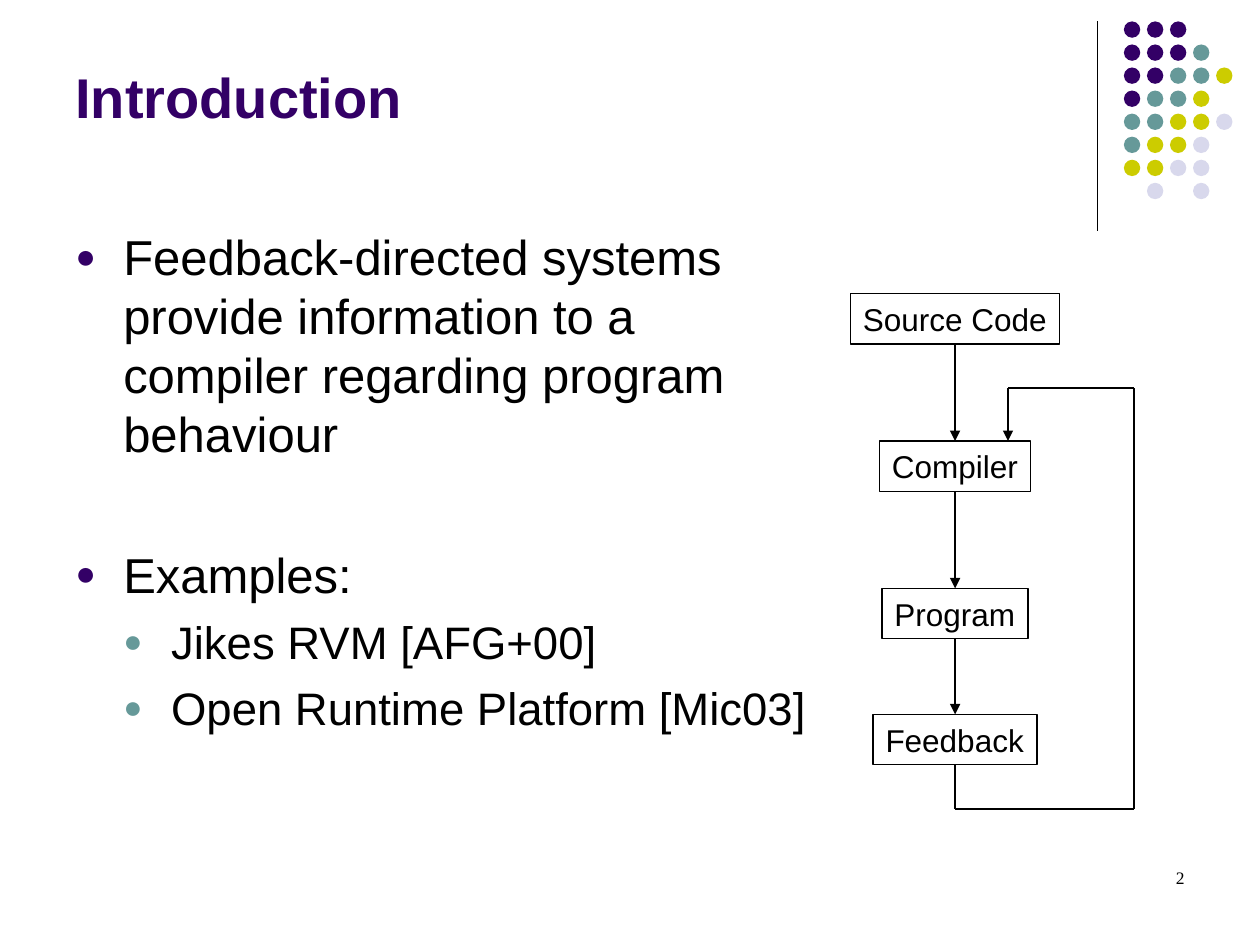
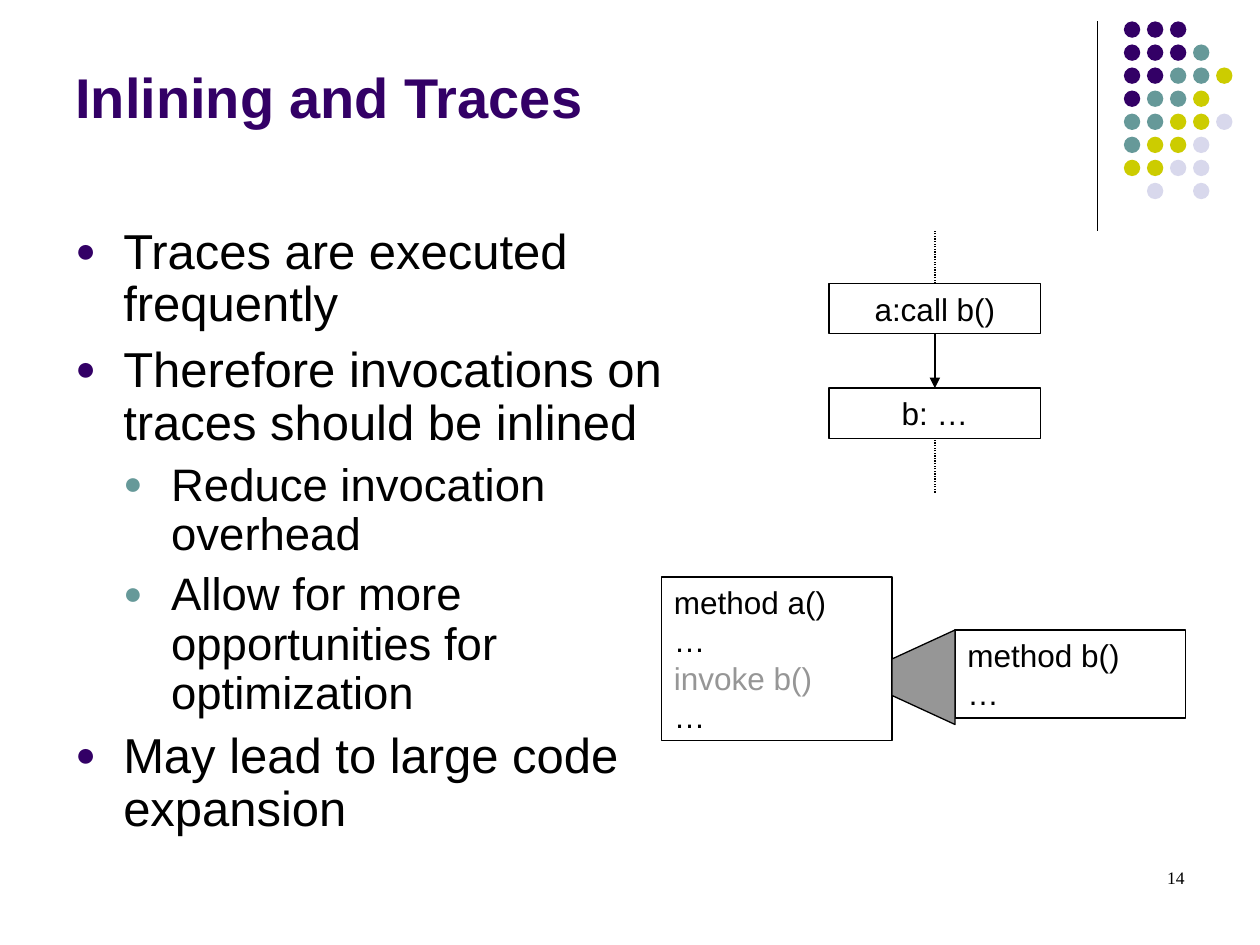
from dataclasses import dataclass
from itertools import pairwise

from lxml.etree import SubElement
from pptx import Presentation
from pptx.dml.color import RGBColor
from pptx.enum.dml import MSO_LINE
from pptx.enum.shapes import MSO_CONNECTOR as Connectors, MSO_SHAPE as Shapes
from pptx.enum.text import MSO_ANCHOR as Anchor, PP_ALIGN as Align
from pptx.oxml.ns import qn
from pptx.shapes.autoshape import Shape
from pptx.shapes.connector import Connector
from pptx.slide import Slide
from pptx.util import Inches, Pt

PURPLE, TEAL, YELLOW, LILAC = "330066", "669999", "CCCC00", "D8D8EC"
BLACK, GREY = "000000", "969696"
BODY_FONT, NUMBER_FONT = "Arial", "Times New Roman"
LINE_WIDTH = Pt(0.75)
TOP, BOTTOM = 0, 2

# Corner ornament: one letter per dot, a space for none
DOT_ROWS = ("PPP", "PPPT", "PPTTY", "PTTY", "TTYYL", "TYYL", "YYLL", " L L")
DOT_COLOURS = {"P": PURPLE, "T": TEAL, "Y": YELLOW, "L": LILAC}
DOT_LEFT, DOT_TOP, DOT_PITCH, DOT_SIZE = 8.92, 0.17, 0.183, 0.13

Point = tuple[float, float]


@dataclass(frozen=True)
class Area:
    left: float
    top: float
    width: float
    height: float

    def lengths(self) -> list[Inches]:
        return [Inches(v) for v in (self.left, self.top, self.width, self.height)]


@dataclass(frozen=True)
class Level:
    indent: float
    size: float
    before: float
    bullet_colour: str


@dataclass(frozen=True)
class Item:
    text: str
    level: int = 0
    extra_before: float = 0


@dataclass(frozen=True)
class Line:
    text: str
    size: float = 18
    colour: str = BLACK
    font: str = BODY_FONT
    bold: bool = False
    align: Align = Align.LEFT


LEVELS = (Level(0.38, 28, 7, PURPLE), Level(0.76, 26, 6.5, TEAL))
HANGING = 0.38


def rgb(colour: str) -> RGBColor:
    return RGBColor.from_string(colour)


def style_font(para, line: Line) -> None:
    font = para.font
    font.name, font.size, font.bold = line.font, Pt(line.size), line.bold
    font.color.rgb = rgb(line.colour)


def write_lines(shape: Shape, lines: list[Line], anchor: Anchor = Anchor.TOP) -> None:
    frame = shape.text_frame
    frame.word_wrap = True
    frame.vertical_anchor = anchor
    for index, line in enumerate(lines):
        para = frame.add_paragraph() if index else frame.paragraphs[0]
        para.text = line.text
        para.alignment = line.align
        style_font(para, line)


def add_text(page: Slide, area: Area, line: Line, anchor: Anchor = Anchor.TOP) -> None:
    write_lines(page.shapes.add_textbox(*area.lengths()), [line], anchor)


def add_bullet(para, level: Level) -> None:
    properties = para._p.get_or_add_pPr()
    properties.set("marL", str(Inches(level.indent)))
    properties.set("indent", str(-Inches(HANGING)))
    colour = SubElement(properties, qn("a:buClr"))
    SubElement(colour, qn("a:srgbClr"), val=level.bullet_colour)
    SubElement(properties, qn("a:buSzPct"), val="70000")
    SubElement(properties, qn("a:buFont"), typeface=BODY_FONT)
    SubElement(properties, qn("a:buChar"), char="●")


def add_body(page: Slide, area: Area, items: list[Item], spacing: float = 1.0) -> None:
    frame = page.shapes.add_textbox(*area.lengths()).text_frame
    frame.word_wrap = True
    for index, item in enumerate(items):
        level = LEVELS[item.level]
        para = frame.add_paragraph() if index else frame.paragraphs[0]
        para.text = item.text
        para.level = item.level
        add_bullet(para, level)
        para.line_spacing = spacing
        para.space_before = Pt(level.before + item.extra_before if index else 0)
        style_font(para, Line(item.text, level.size))


def outline(shape: Shape) -> None:
    shape.shadow.inherit = False
    shape.line.color.rgb = rgb(BLACK)
    shape.line.width = LINE_WIDTH


def add_box(page: Slide, area: Area, lines: list[Line]) -> Shape:
    box = page.shapes.add_shape(Shapes.RECTANGLE, *area.lengths())
    box.fill.background()
    outline(box)
    write_lines(box, lines)
    return box


def add_line(page: Slide, start: Point, end: Point, arrow: bool = False) -> Connector:
    line = page.shapes.add_connector(
        Connectors.STRAIGHT, *(Inches(value) for value in (*start, *end)))
    line.line.color.rgb = rgb(BLACK)
    line.line.width = LINE_WIDTH
    SubElement(line._element.spPr, qn("a:effectLst"))
    if arrow:
        SubElement(line.line._get_or_add_ln(), qn("a:tailEnd"), type="triangle")
    return line


def add_arrow_between(page: Slide, upper: Shape, lower: Shape) -> None:
    arrow = add_line(page, (0, 0), (0, 0), arrow=True)
    arrow.begin_connect(upper, BOTTOM)
    arrow.end_connect(lower, TOP)


def add_page(deck, title: str, number: int) -> Slide:
    """Add a slide with the shared ornament, title and page number."""
    page = deck.slides.add_slide(deck.slide_layouts[6])
    add_line(page, (8.71, 0.17), (8.71, 1.83))
    for row, letters in enumerate(DOT_ROWS):
        for column, letter in enumerate(letters):
            if letter == " ":
                continue
            area = Area(DOT_LEFT + column * DOT_PITCH, DOT_TOP + row * DOT_PITCH,
                        DOT_SIZE, DOT_SIZE)
            dot = page.shapes.add_shape(Shapes.OVAL, *area.lengths())
            dot.shadow.inherit = False
            dot.fill.solid()
            dot.fill.fore_color.rgb = rgb(DOT_COLOURS[letter])
            dot.line.fill.background()
    add_text(page, Area(0.5, 0.13, 8.25, 0.95),
             Line(title, 32, PURPLE, bold=True), Anchor.BOTTOM)
    add_text(page, Area(7.17, 6.83, 2.33, 0.5),
             Line(str(number), 10, font=NUMBER_FONT, align=Align.RIGHT))
    return page


def build_introduction(deck) -> None:
    page = add_page(deck, "Introduction", 2)
    add_body(page, Area(0.5, 1.75, 6.08, 4.82), [
        Item("Feedback-directed systems provide information to a compiler "
             "regarding program behaviour"),
        Item("Examples:", extra_before=40),
        Item("Jikes RVM [AFG+00]", 1),
        Item("Open Runtime Platform [Mic03]", 1),
    ])

    # Stages, centred on one axis
    axis = 7.58
    stages = (("Source Code", 2.33, 1.66), ("Compiler", 3.5, 1.2),
              ("Program", 4.67, 1.16), ("Feedback", 5.67, 1.3))
    boxes = [add_box(page, Area(axis - width / 2, top, width, 0.4), [Line(name)])
             for name, top, width in stages]
    for box in boxes:
        box.text_frame.word_wrap = False
    for upper, lower in pairwise(boxes):
        add_arrow_between(page, upper, lower)

    # Loop from the feedback back to the compiler
    corners = [(axis, 6.07), (axis, 6.42), (9, 6.42), (9, 3.08), (8, 3.08), (8, 3.5)]
    loop = [add_line(page, start, end, arrow=end == corners[-1])
            for start, end in pairwise(corners)]
    loop[0].begin_connect(boxes[-1], BOTTOM)


def build_inlining(deck) -> None:
    page = add_page(deck, "Inlining and Traces", 14)
    add_body(page, Area(0.5, 1.75, 4.92, 5.25), [
        Item("Traces are executed frequently"),
        Item("Therefore invocations on traces should be inlined"),
        Item("Reduce invocation overhead", 1),
        Item("Allow for more opportunities for optimization", 1),
        Item("May lead to large code expansion"),
    ], spacing=0.9)

    # Trace: a call and its target
    axis = 7.42
    call, target = (
        add_box(page, Area(axis - 0.84, top, 1.68, 0.4), [Line(text, align=Align.CENTER)])
        for text, top in (("a:call b()", 2.25), ("b: …", 3.08)))
    add_arrow_between(page, call, target)
    before = add_line(page, (axis, 2.25), (axis, 1.83))
    before.begin_connect(call, TOP)
    after = add_line(page, (axis, 3.91), (axis, 3.48))
    after.end_connect(target, BOTTOM)
    for line in (before, after):
        line.line.dash_style = MSO_LINE.ROUND_DOT

    # Method b expanded into method a
    add_box(page, Area(5.25, 4.58, 1.83, 1.3),
            [Line("method a()"), Line("…"), Line("invoke b()", colour=GREY), Line("…")])
    add_box(page, Area(7.58, 5, 1.83, 0.7), [Line("method b()"), Line("…")])
    corners = [(Inches(x), Inches(y))
               for x, y in ((7.58, 5), (7.58, 5.75), (7.08, 5.52), (7.08, 5.23))]
    builder = page.shapes.build_freeform(*corners[0])
    builder.add_line_segments(corners[1:], close=True)
    funnel = builder.convert_to_shape()
    funnel.fill.solid()
    funnel.fill.fore_color.rgb = rgb(GREY)
    outline(funnel)


def main() -> None:
    deck = Presentation()
    deck.slide_width, deck.slide_height = Inches(10), Inches(7.5)
    build_introduction(deck)
    build_inlining(deck)
    deck.save("out.pptx")


if __name__ == "__main__":
    main()
